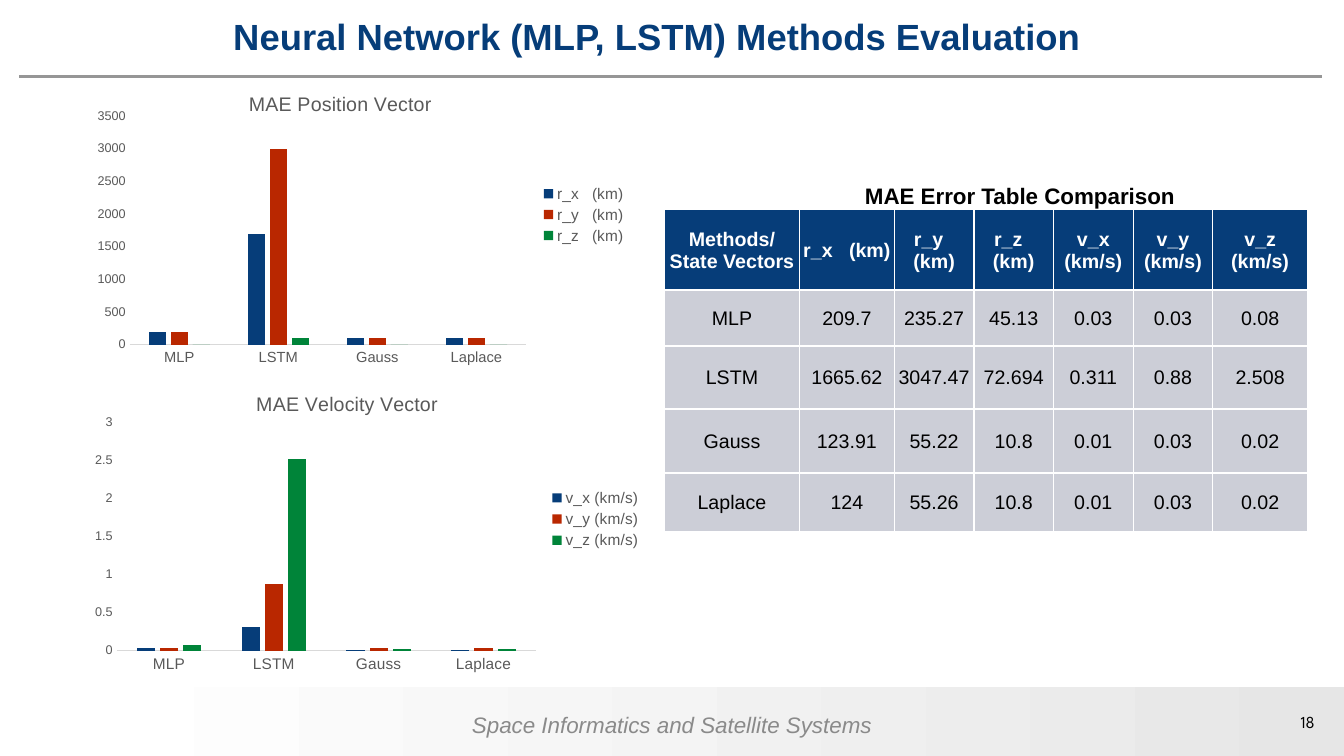
from lxml import etree
from pptx import Presentation
from pptx.chart.data import CategoryChartData
from pptx.dml.color import RGBColor
from pptx.enum.chart import XL_CHART_TYPE as ChartType, XL_LEGEND_POSITION as LegendPos, XL_TICK_MARK as Tick
from pptx.enum.shapes import MSO_CONNECTOR as Connector, MSO_SHAPE as Shape
from pptx.enum.text import MSO_ANCHOR as Anchor, PP_ALIGN as Align
from pptx.oxml import parse_xml
from pptx.oxml.ns import nsdecls, qn
from pptx.util import Inches, Pt

COLORS = {"navy": "063D79", "red": "B92700", "green": "008439", "cell": "CCCED7",
          "white": "FFFFFF", "black": "000000", "rule": "969696", "footer": "8A8A8A",
          "band": "E6E6E6", "label": "595959", "axis": "D9D9D9"}
RGB = {name: RGBColor.from_string(value) for name, value in COLORS.items()}


def write(frame, text, size=14, color="black", bold=False, italic=False,
          align=Align.CENTER, font="Arial", wrap=True):
    frame.word_wrap = wrap
    frame.text = text
    paragraph = frame.paragraphs[0]
    paragraph.alignment = align
    style = paragraph.font
    style.name, style.size, style.bold, style.italic = font, Pt(size), bold, italic
    style.color.rgb = RGB[color]


def place(part, x, y, w=None, h=None, target=""):
    """Give a chart part a fixed place, in fractions of the chart."""
    for old in part.findall(qn("c:layout")):
        part.remove(old)
    sizes = f'<c:w val="{w}"/><c:h val="{h}"/>' if w else ""
    layout = parse_xml(
        f'<c:layout {nsdecls("c")}><c:manualLayout>{target}<c:xMode val="edge"/>'
        f'<c:yMode val="edge"/><c:x val="{x}"/><c:y val="{y}"/>{sizes}'
        '</c:manualLayout></c:layout>')
    overlay = part.find(qn("c:overlay"))
    if overlay is None:
        part.insert(0, layout)
    else:
        overlay.addprevious(layout)


prs = Presentation()
prs.slide_width, prs.slide_height = Inches(13.33), Inches(7.5)
slide = prs.slides.add_slide(prs.slide_layouts[6])
shapes = slide.shapes

# Footer band and header rule
band = shapes.add_shape(Shape.RECTANGLE, Inches(0.89), Inches(6.82), Inches(12.44), Inches(0.68))
band.shadow.inherit = False
band.line.fill.background()
band.fill.gradient()
band.fill.gradient_angle = 0
for stop, tone in zip(band.fill.gradient_stops, ("white", "band")):
    stop.color.rgb = RGB[tone]

rule = shapes.add_connector(Connector.STRAIGHT, Inches(0.19), Inches(0.76), Inches(13.11), Inches(0.76))
rule.line.color.rgb = RGB["rule"]
rule.line.width = Pt(2.25)
etree.SubElement(rule.element.spPr, qn("a:effectLst"))

# Title, table heading, footer and page number
for (left, top, width, height), text, style in [
    ((0.84, 0, 11.36, 0.71), "Neural Network (MLP, LSTM) Methods Evaluation",
     dict(size=26, color="navy", bold=True)),
    ((8.48, 1.76, 3.31, 0.37), "MAE Error Table Comparison",
     dict(size=16, bold=True, align=Align.LEFT, wrap=False)),
    ((4.46, 7, 4.41, 0.37), "Space Informatics and Satellite Systems",
     dict(size=16, color="footer", italic=True)),
    ((12.72, 7.01, 0.42, 0.3), "18",
     dict(size=12, font="League Spartan", align=Align.RIGHT, wrap=False)),
]:
    box = shapes.add_textbox(Inches(left), Inches(top), Inches(width), Inches(height))
    box.text_frame.vertical_anchor = Anchor.MIDDLE
    write(box.text_frame, text, **style)

# Errors by method: three position and three velocity components
components = ["r_x   (km)", "r_y   (km)", "r_z   (km)", "v_x (km/s)", "v_y (km/s)", "v_z (km/s)"]
errors = {
    "MLP": [209.7, 235.27, 45.13, 0.03, 0.03, 0.08],
    "LSTM": [1665.62, 3047.47, 72.694, 0.311, 0.88, 2.508],
    "Gauss": [123.91, 55.22, 10.8, 0.01, 0.03, 0.02],
    "Laplace": [124, 55.26, 10.8, 0.01, 0.03, 0.02],
}

# Comparison table
rows = [["Methods/ State Vectors"] + components]
rows += [[method] + [str(error) for error in values] for method, values in errors.items()]
table = shapes.add_table(5, 7, Inches(6.59), Inches(2.08), Inches(6.38), Inches(3.19)).table
table.horz_banding = False
for column, width in zip(table.columns, (1.34, 0.94, 0.79, 0.79, 0.79, 0.79, 0.94)):
    column.width = Inches(width)
for row, height in zip(table.rows, (0.8, 0.55, 0.63, 0.63, 0.58)):
    row.height = Inches(height)
for r, texts in enumerate(rows):
    header = r == 0
    for c, text in enumerate(texts):
        cell = table.cell(r, c)
        cell.margin_left = cell.margin_right = cell.margin_top = Inches(0.01)
        cell.margin_bottom = 0
        cell.vertical_anchor = Anchor.MIDDLE
        write(cell.text_frame, text, color="white" if header else "black", bold=header)
        borders = cell._tc.get_or_add_tcPr()
        for side, weight in (("L", 1), ("R", 1), ("T", 1 if header else 1.5), ("B", 1 if r == 4 else 1.5)):
            borders.append(parse_xml(
                f'<a:ln{side} {nsdecls("a")} w="{Pt(weight)}"><a:solidFill>'
                f'<a:srgbClr val="{COLORS["white"]}"/></a:solidFill></a:ln{side}>'))
        cell.fill.solid()
        cell.fill.fore_color.rgb = RGB["navy" if header else "cell"]

# Column charts, with positions rounded to hundreds and velocities to hundredths
for (title, first, digits, (left, top, width, height), peak, step, category_size,
     title_at, plot_at, legend_at) in [
    ("MAE Position Vector", 0, -2, (0.85, 0.59, 5.46, 3.11), 3500, 500, 10.5,
     (0.29, 0.09), (0.08, 0.18, 0.72, 0.73), (0.82, 0.39, 0.17, 0.21)),
    ("MAE Velocity Vector", 3, 2, (0.82, 3.59, 5.62, 3.15), 3, 0.5, 11,
     (0.3, 0.08), (0.06, 0.19, 0.74, 0.72), (0.82, 0.39, 0.17, 0.21)),
]:
    data = CategoryChartData()
    data.categories = list(errors)
    for k in range(first, first + 3):
        data.add_series(components[k], [round(values[k], digits) for values in errors.values()])
    chart = shapes.add_chart(ChartType.COLUMN_CLUSTERED, Inches(left), Inches(top),
                             Inches(width), Inches(height), data).chart
    chart.font.name, chart.font.size = "Arial", Pt(10)
    chart.has_title = True
    write(chart.chart_title.text_frame, title, color="label")
    chart.chart_title.include_in_layout = False

    chart.has_legend = True
    legend = chart.legend
    legend.position = LegendPos.RIGHT
    legend.include_in_layout = False

    plot = chart.plots[0]
    plot.gap_width, plot.overlap, plot.vary_by_categories = 219, -27, False
    for series, tone in zip(plot.series, ("navy", "red", "green")):
        series.format.fill.solid()
        series.format.fill.fore_color.rgb = RGB[tone]

    methods, scale = chart.category_axis, chart.value_axis
    methods.format.line.color.rgb = RGB["axis"]
    methods.format.line.width = Pt(0.75)
    scale.format.line.fill.background()
    scale.has_major_gridlines = False
    scale.minimum_scale, scale.maximum_scale, scale.major_unit = 0, peak, step
    for axis in (methods, scale):
        axis.major_tick_mark = axis.minor_tick_mark = Tick.NONE
    for font, size in ((methods.tick_labels.font, category_size),
                       (scale.tick_labels.font, 9), (legend.font, 11)):
        font.name, font.size = "Arial", Pt(size)
        font.color.rgb = RGB["label"]

    place(chart.element.find(".//" + qn("c:title")), *title_at)
    place(chart.element.find(".//" + qn("c:legend")), *legend_at)
    place(chart.element.find(".//" + qn("c:plotArea")), *plot_at,
          target='<c:layoutTarget val="inner"/>')

prs.save("out.pptx")
